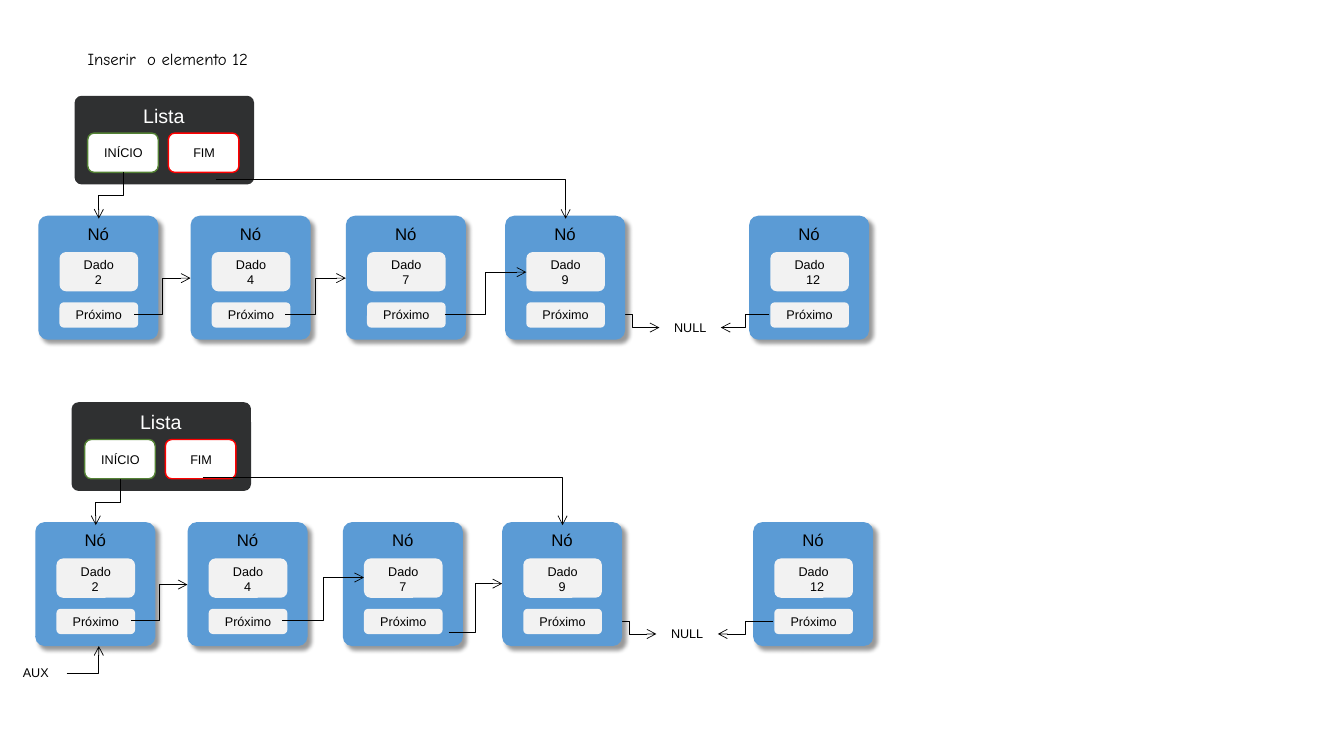
from lxml import etree
from pptx import Presentation
from pptx.dml.color import RGBColor
from pptx.enum.shapes import MSO_CONNECTOR, MSO_SHAPE
from pptx.enum.text import PP_ALIGN
from pptx.oxml import parse_xml
from pptx.oxml.ns import nsdecls, qn
from pptx.util import Inches, Pt

ROUNDED = MSO_SHAPE.ROUNDED_RECTANGLE
ELBOW = MSO_CONNECTOR.ELBOW
CENTER, LEFT = PP_ALIGN.CENTER, PP_ALIGN.LEFT

COLORS = {
    "node": "5B9BD5",
    "field": "F2F2F2",
    "list": "2F3031",
    "white": "FFFFFF",
    "black": "000000",
    "start": "548235",
    "end": "FF0000",
}
NODE_LEFTS = {2: 0.38, 4: 1.89, 7: 3.43, 9: 5.01}
NODE_TOP = 2.14
SHADOW = (
    f'<a:effectLst {nsdecls("a")}><a:outerShdw blurRad="38100" dist="50800" '
    'dir="2700000" algn="tl" rotWithShape="0"><a:srgbClr val="000000">'
    '<a:alpha val="40000"/></a:srgbClr></a:outerShdw></a:effectLst>'
)


def color(name):
    """Return the named palette colour."""
    return RGBColor.from_string(COLORS[name])


def add_box(shapes, left, top, width, height, fill, line=None, radius=None):
    """Add a rounded box with a plain fill and an optional outline."""
    box = shapes.add_shape(ROUNDED, Inches(left), Inches(top), Inches(width), Inches(height))
    box.shadow.inherit = False
    box.fill.solid()
    box.fill.fore_color.rgb = color(fill)
    if radius:
        box.adjustments[0] = radius
    if line:
        box.line.color.rgb = color(line)
        box.line.width = Pt(1)
    else:
        box.line.fill.background()
    return box


def add_label(shapes, text, left, top, width, height=0.25, size=9,
              ink="black", font="Arial", align=CENTER, wrap=True):
    """Add a one-line text box."""
    label = shapes.add_textbox(Inches(left), Inches(top), Inches(width), Inches(height))
    label.text_frame.word_wrap = wrap
    para = label.text_frame.paragraphs[0]
    para.alignment = align
    span = para.add_run()
    span.text = text
    span.font.size = Pt(size)
    span.font.name = font
    span.font.color.rgb = color(ink)


def add_arrow(shapes, start, end, corner=False, vertical=False):
    """Add a bent arrow with one corner, or with two and a vertical or horizontal start."""
    (x1, y1), (x2, y2) = start, end
    if vertical:
        middle_x, middle_y = (x1 + x2) / 2, (y1 + y2) / 2
        half_width, half_height = (y2 - y1) / 2, (x1 - x2) / 2
        x1, x2 = middle_x - half_width, middle_x + half_width
        y1, y2 = middle_y - half_height, middle_y + half_height
    arrow = shapes.add_connector(ELBOW, Inches(x1), Inches(y1), Inches(x2), Inches(y2))
    if vertical:
        arrow.rotation = 90
    arrow.line.color.rgb = color("black")
    arrow.line.width = Pt(0.5)
    properties = arrow._element.spPr
    if corner:
        properties.find(qn("a:prstGeom")).set("prst", "bentConnector2")
    etree.SubElement(properties.find(qn("a:ln")), qn("a:tailEnd"), type="arrow")
    etree.SubElement(properties, qn("a:effectLst"))


def add_node(page, value, left, top):
    """Add a list node with its data and next fields."""
    shapes = page.shapes.add_group_shape().shapes
    body = add_box(shapes, left, top, 1.19, 1.23, "node", radius=0.078)
    properties = body._element.spPr
    properties.replace(properties.find(qn("a:effectLst")), parse_xml(SHADOW))
    add_label(shapes, "Nó", left + 0.38, top + 0.03, 0.43, 0.3, size=12)
    add_box(shapes, left + 0.21, top + 0.86, 0.78, 0.25, "field")
    add_label(shapes, "Próximo", left + 0.25, top + 0.86, 0.7)
    add_box(shapes, left + 0.21, top + 0.36, 0.78, 0.39, "field")
    add_label(shapes, "Dado", left + 0.33, top + 0.36, 0.54)
    width = 0.27 if value < 10 else 0.35
    add_label(shapes, str(value), left + 0.46, top + 0.51, width)


def add_list_head(page, left, top):
    """Add the list box with its start and end pointers."""
    shapes = page.shapes.add_group_shape().shapes
    add_box(shapes, left, top, 1.78, 0.88, "list", radius=0.078)
    for text, offset, line in (("FIM", 0.93, "end"), ("INÍCIO", 0.13, "start")):
        add_box(shapes, left + offset, top + 0.37, 0.7, 0.39, "white", line)
        add_label(shapes, text, left + offset + 0.04, top + 0.44, 0.63)
    add_label(shapes, "Lista", left + 0.54, top + 0.03, 0.69, 0.34, size=14, ink="white")


def add_scene(page, shift_x, shift_y, new_left, end_start, next_arrows):
    """Add one stage of the insertion, shifted from the first stage."""
    def place(x, y):
        return x + shift_x, y + shift_y

    def link(start, end, **options):
        add_arrow(page.shapes, place(*start), place(*end), **options)

    add_list_head(page, *place(0.74, 0.95))
    link((6, 3.12), (6.54, 3.25))
    for value, left in NODE_LEFTS.items():
        add_node(page, value, *place(left, NODE_TOP))
    add_node(page, 12, *place(new_left, NODE_TOP))
    add_label(page.shapes, "NULL", *place(6.54, 3.12), 0.61)
    link((new_left + 0.2, 3.12), (7.15, 3.25))
    link((1.22, 1.71), (0.98, 2.17), vertical=True)
    link(end_start, (5.61, 2.17), corner=True)
    link((1.33, 3.12), (1.89, 2.76))
    for start, end in next_arrows:
        link(start, end)


def main():
    """Build the linked list slide and save it."""
    deck = Presentation()
    deck.slide_width, deck.slide_height = Inches(13.33), Inches(7.5)
    page = deck.slides.add_slide(deck.slide_layouts[6])
    add_label(page.shapes, "Inserir  o elemento 12", 0.77, 0.43, 1.92, 0.3, size=12,
              font="Comic Neue", align=LEFT, wrap=False)
    add_scene(page, 0, 0, 7.43, (2.14, 1.78),
              [((2.83, 3.12), (3.43, 2.76)), ((4.41, 3.12), (5.22, 2.7))])
    add_scene(page, -0.03, 3.04, 7.5, (2.04, 1.7),
              [((2.83, 3.12), (3.64, 2.69)), ((4.48, 3.23), (5.01, 2.75))])
    add_label(page.shapes, "AUX", 0.05, 6.55, 0.61)
    add_arrow(page.shapes, (0.66, 6.68), (0.98, 6.41), corner=True)
    deck.save("out.pptx")


if __name__ == "__main__":
    main()
